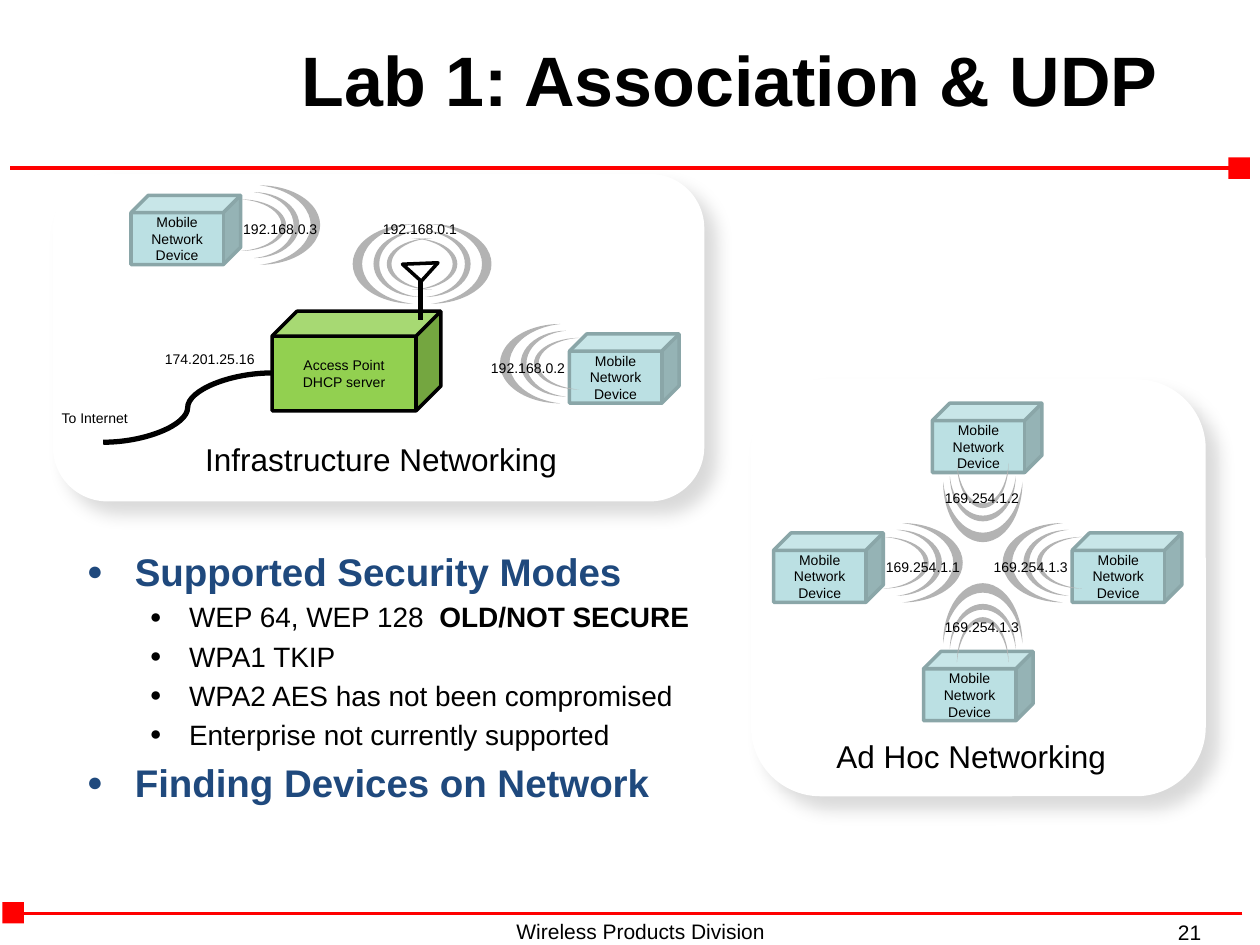
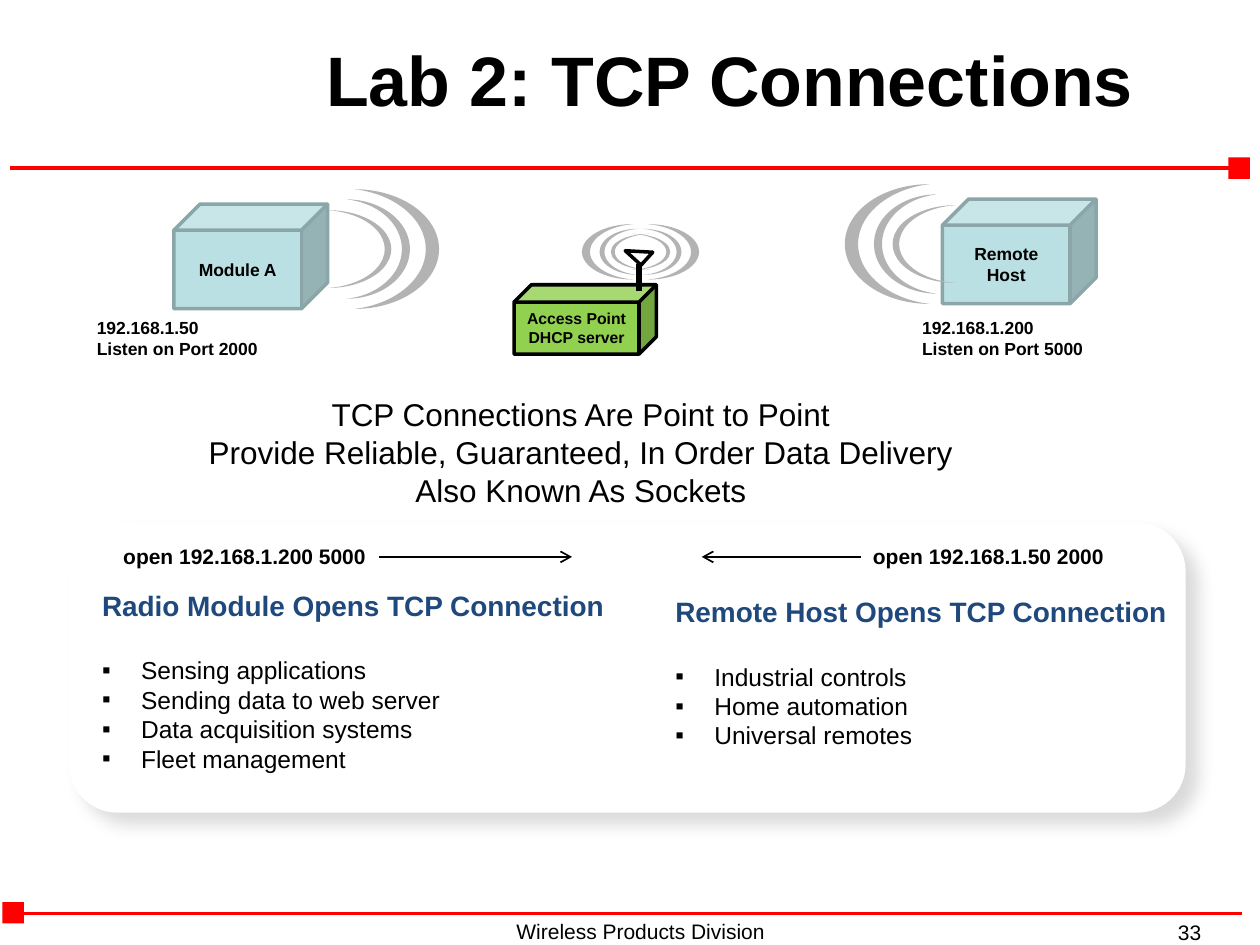
import math

import pptx
import pptx.dml.color
import pptx.enum.shapes
import pptx.enum.text
import pptx.oxml
import pptx.oxml.ns
import pptx.util

# Shared look: the 10 x 7.5 inch slide is a grid of 100 columns by 75 rows
CELL = pptx.util.Inches(0.1)
COLUMNS, ROWS = 100, 75
COLOURS = {
    "rule": "FF0000", "text": "000000", "heading": "1F497D", "paper": "FFFFFF",
    "device": "BBE0E3", "device edge": "8AA6A8", "access point": "92D050",
    "wave": "B3B3B3",
}
FONT = "Arial"
SHAPE = pptx.enum.shapes.MSO_SHAPE
CONNECTOR = pptx.enum.shapes.MSO_CONNECTOR
CENTER = pptx.enum.text.PP_ALIGN.CENTER
MIDDLE = pptx.enum.text.MSO_ANCHOR.MIDDLE

# Device size, and for each side that sends: wave rotation, then the wave
# centre and label corner as shares of the device's width and height
DEVICE_SIZE = (8.7, 5.5)
SIDES = {
    "right": (180, (1.45, 0.43), (0.91, 0.28)),
    "left": (0, (-0.36, 0.43), (-0.83, 0.28)),
    "bottom": (270, (0.46, 1.57), (0, 1.15)),
    "top": (90, (0.54, -0.55), (0.08, -0.56)),
}
# Each wave is three moons: width share, height share, thickness
MOONS = [(1, 1, 0.157), (0.75, 0.83, 0.127), (0.75, 0.65, 0.103)]
MOON_STEP = 0.22


def colour(name):
    return pptx.dml.color.RGBColor.from_string(COLOURS[name])


def grid(*cells):
    return [round(cell * CELL) for cell in cells]


def add_xml(parent, text):
    declaration = pptx.oxml.ns.nsdecls("a")
    name, rest = text.split(" ", 1)
    parent.append(pptx.oxml.parse_xml(f"{name} {declaration} {rest}"))


def move(shape, place):
    for name, value in zip(("left", "top", "width", "height"), grid(*place)):
        setattr(shape, name, value)


# Text
def write(frame, lines, size=8, bold=False, align=None):
    """Write lines, each a string or a dict of text and paragraph settings."""
    for index, line in enumerate(lines):
        line = line if isinstance(line, dict) else {"text": line}
        paragraph = frame.paragraphs[0] if index == 0 else frame.add_paragraph()
        if "bullet" in line:
            set_bullet(paragraph, **line["bullet"])
        settings = {"alignment": align, "level": line.get("level", 0),
                    "space_before": pptx.util.Pt(line.get("before", 0) if index else 0)}
        for name, value in settings.items():
            setattr(paragraph, name, value)
        pieces = [(line["text"], line.get("bold", bold))]
        if "strong" in line:
            pieces.append((line["strong"], True))
        for text, is_bold in pieces:
            run = paragraph.add_run()
            run.text = text
            font_values = {"name": FONT, "bold": is_bold,
                           "size": pptx.util.Pt(line.get("size", size))}
            for name, value in font_values.items():
                setattr(run.font, name, value)
            run.font.color.rgb = colour(line.get("colour", "text"))


def set_bullet(paragraph, character=None, indent=0, hanging=0, share=100):
    properties = paragraph._p.get_or_add_pPr()
    properties.set("marL", str(pptx.util.Inches(indent)))
    properties.set("indent", str(-pptx.util.Inches(hanging)))
    if character:
        add_xml(properties, f'<a:buSzPct val="{share * 1000}"/>')
        add_xml(properties, f'<a:buFont typeface="{FONT}"/>')
        add_xml(properties, f'<a:buChar char="{character}"/>')
    else:
        add_xml(properties, "<a:buNone />")


def add_text(slide, place, lines, wrap=False, **style):
    frame = slide.shapes.add_textbox(*grid(*place)).text_frame
    frame.word_wrap = wrap
    write(frame, lines, **style)


def fill_list(placeholder, place, lines):
    move(placeholder, place)
    frame = placeholder.text_frame
    frame.auto_size = pptx.enum.text.MSO_AUTO_SIZE.NONE
    write(frame, lines)


# Shapes and lines
def add_shape(slide, kind, place, fill, edge=None, rotation=0):
    shape = slide.shapes.add_shape(kind, *grid(*place))
    shape.shadow.inherit = False
    shape.rotation = rotation
    shape.fill.solid()
    shape.fill.fore_color.rgb = colour(fill)
    if edge:
        shape.line.color.rgb = colour(edge)
        shape.line.width = pptx.util.Pt(2)
    else:
        shape.line.fill.background()
    return shape


def add_centred(slide, kind, centre, size, fill, **look):
    (x, y), (width, height) = centre, size
    place = (x - width / 2, y - height / 2, width, height)
    return add_shape(slide, kind, place, fill, **look)


def add_line(slide, start, end, width, ink="text", kind=CONNECTOR.STRAIGHT, arrow=False):
    connector = slide.shapes.add_connector(kind, *grid(*start, *end))
    connector.line.color.rgb = colour(ink)
    connector.line.width = pptx.util.Pt(width)
    if arrow:
        add_xml(connector.line._get_or_add_ln(), '<a:tailEnd type="arrow"/>')
    add_xml(connector._element.spPr, "<a:effectLst />")


def add_card(slide, place):
    """Add a white card with a soft shadow, behind the placeholders."""
    card = add_shape(slide, SHAPE.ROUNDED_RECTANGLE, place, "paper")
    effects = card._element.spPr.find(pptx.oxml.ns.qn("a:effectLst"))
    distance = pptx.util.Pt(10)
    add_xml(effects, f'<a:outerShdw blurRad="{distance}" dist="{distance}" '
                     'dir="2700000" algn="tl" rotWithShape="0"><a:srgbClr '
                     f'val="{COLOURS["text"]}"><a:alpha val="15000"/>'
                     '</a:srgbClr></a:outerShdw>')
    slide.shapes._spTree.insert(2, card._element)


# Network parts
def add_box(slide, place, lines, fill, edge, **style):
    box = add_shape(slide, SHAPE.CUBE, place, fill, edge)
    box.text_frame.word_wrap = True
    box.text_frame.vertical_anchor = MIDDLE
    write(box.text_frame, lines, align=CENTER, **style)


def add_wave(slide, centre, size, rotation):
    angle = math.radians(rotation)
    for index, (width, height, thickness) in enumerate(MOONS):
        shift = index * MOON_STEP * size[0]
        moon_centre = (centre[0] + shift * math.cos(angle),
                       centre[1] + shift * math.sin(angle))
        moon = add_centred(slide, SHAPE.MOON, moon_centre,
                           (size[0] * width, size[1] * height),
                           "wave", rotation=rotation)
        moon.adjustments[0] = thickness


def add_device(slide, corner, side, name="Mobile Network Device",
               box_size=DEVICE_SIZE, address=None, **style):
    def at(share):
        return [start + part * length
                for start, part, length in zip(corner, share, box_size)]

    rotation, wave_centre, label_corner = SIDES[side]
    width, height = box_size
    add_box(slide, (*corner, width, height), [name], "device", "device edge", **style)
    add_wave(slide, at(wave_centre), (0.55 * width, 1.145 * height), rotation)
    if address:
        add_text(slide, (*at(label_corner), 8, 2.4), [address])


def add_access_point(slide, place, **style):
    left, top, width, height = place
    add_box(slide, place, ["Access Point", "DHCP server"],
            "access point", "text", **style)
    for share, rotation in ((1.12, 180), (0.656, 0)):
        add_wave(slide, (left + share * width, top - 0.475 * height),
                 (0.358 * width, 0.8 * height), rotation)
    mast = left + 0.877 * width
    add_centred(slide, SHAPE.RIGHT_TRIANGLE, (mast, top - 0.48 * height),
                (0.25 * height, 0.15 * width), "paper", edge="text", rotation=312.2)
    add_line(slide, (mast, top - 0.3 * height), (mast, top + 0.09 * height), 3)


# Frame common to the slides
def add_slide(presentation, layout, title, number, cards):
    slide = presentation.slides.add_slide(presentation.slide_layouts[layout])
    for card in cards:
        add_card(slide, card)
    add_line(slide, (0.8, 13.3), (97.5, 13.3), 2.25, "rule")
    add_shape(slide, SHAPE.RECTANGLE, (97.5, 12.5, 1.7, 1.7), "rule")
    add_line(slide, (98.6, 72.5), (1.9, 72.5), 2.25, "rule")
    add_shape(slide, SHAPE.RECTANGLE, (0.2, 71.6, 1.7, 1.7), "rule")
    add_text(slide, (92.5, 72.5, 7.5, 2.5), [number], wrap=True, size=12)
    add_text(slide, (40, 72.4, 34.2, 2.6), ["Wireless Products Division"],
             wrap=True, size=12)
    heading = slide.shapes.title
    move(heading, (20.8, 2.2, 74.2, 9.5))
    heading.text_frame.vertical_anchor = MIDDLE
    write(heading.text_frame, [title], size=40, bold=True, align=CENTER)
    heading.text_frame.paragraphs[0].line_spacing = 0.75
    return slide


def build_association(presentation):
    slide = add_slide(presentation, 1, "Lab 1: Association & UDP", "21",
                      [(4.2, 13.8, 51.7, 26), (59.6, 30.1, 36.1, 33.1)])

    # Security list
    topic = {"size": 22, "bold": True, "colour": "heading", "before": 4.4,
             "bullet": {"character": "●", "indent": 0.38, "hanging": 0.38, "share": 70}}
    detail = {"size": 16, "level": 1, "before": 3.2,
              "bullet": {"character": "●", "indent": 0.81, "hanging": 0.31, "share": 70}}
    fill_list(slide.placeholders[1], (5.9, 43, 59.1, 24.4), [
        {**topic, "text": "Supported Security Modes"},
        {**detail, "text": "WEP 64, WEP 128 ", "strong": " OLD/NOT SECURE"},
        {**detail, "text": "WPA1 TKIP"},
        {**detail, "text": "WPA2 AES has not been compromised"},
        {**detail, "text": "Enterprise not currently supported"},
        {**topic, "text": "Finding Devices on Network"},
    ])

    # Infrastructure network
    add_device(slide, (10.4, 15.5), "right", address="192.168.0.3")
    add_access_point(slide, (21.6, 24.7, 13.4, 7.9))
    add_device(slide, (45.2, 26.5), "left", address="192.168.0.2")
    add_line(slide, (21.6, 29.6), (8.2, 35.1), 3, kind=CONNECTOR.CURVE)
    for place, text in (((29.4, 17, 8, 2.4), "192.168.0.1"),
                        ((12.1, 27.3, 9.3, 2.4), "174.201.25.16"),
                        ((3.9, 32, 7.5, 2.4), "To Internet")):
        add_text(slide, place, [text])
    add_text(slide, (15.3, 34.4, 30.2, 4), ["Infrastructure Networking"], size=18)

    # Ad hoc network
    for corner, side, address in (((74, 32), "bottom", "169.254.1.2"),
                                  ((73.3, 51.7), "top", "169.254.1.3"),
                                  ((61.4, 42.3), "right", "169.254.1.1"),
                                  ((85.1, 42.3), "left", "169.254.1.3")):
        add_device(slide, corner, side, address=address)
    add_text(slide, (65.4, 58, 23.8, 4), ["Ad Hoc Networking"], size=18)


def build_connections(presentation):
    slide = add_slide(presentation, 3, "Lab 2: TCP Connections", "33",
                      [(5.5, 41.5, 88.6, 23)])

    # Hosts and access point
    hosts = (((13.8, 16.2), "right", "Module A", 6.7, "192.168.1.50", "2000"),
             ((74.8, 15.8), "left", "Remote Host", 72.2, "192.168.1.200", "5000"))
    for corner, side, name, label_left, address, port in hosts:
        add_device(slide, corner, side, name, (12.2, 8.3), size=10, bold=True)
        add_text(slide, (label_left, 24.7, 15, 4.4),
                 [address, f"Listen on Port {port}"], size=10, bold=True)
    add_access_point(slide, (40.8, 22.6, 11.3, 5.5), size=9, bold=True)
    add_text(slide, (13.8, 30.85, 64.6, 10.1), [
        "TCP Connections Are Point to Point",
        "Provide Reliable, Guaranteed, In Order Data Delivery",
        "Also Known As Sockets",
    ], wrap=True, size=18, align=CENTER)

    # Who opens the connection
    columns = (
        ((7.1, 46.2, 42.9, 15.8), "Radio Module Opens TCP Connection",
         ["Sensing applications", "Sending data to web server",
          "Data acquisition systems", "Fleet management"]),
        ((52.6, 46.7, 42.6, 15.8), "Remote Host Opens TCP Connection",
         ["Industrial controls", "Home automation", "Universal remotes"]),
    )
    square = {"character": "▪", "indent": 0.31, "hanging": 0.31}
    for index, (place, heading, uses) in enumerate(columns, start=1):
        lines = [{"text": heading, "size": 16, "bold": True,
                  "colour": "heading", "bullet": {}}]
        lines += [{"text": use, "size": 14, "bullet": square,
                   "before": 0 if position else 19}
                  for position, use in enumerate(uses)]
        fill_list(slide.placeholders[index], place, lines)

    # Commands
    for left, command in ((8.8, "open 192.168.1.200 5000"),
                          (68.3, "open 192.168.1.50 2000")):
        add_text(slide, (left, 42.65, 21.3, 3), [command], wrap=True, size=12, bold=True)
    for start, end in ((30.1, 45.4), (68.3, 55.7)):
        add_line(slide, (start, 44.2), (end, 44.2), 1, arrow=True)


def main():
    presentation = pptx.Presentation()
    presentation.slide_width, presentation.slide_height = grid(COLUMNS, ROWS)
    build_association(presentation)
    build_connections(presentation)
    presentation.save("out.pptx")


if __name__ == "__main__":
    main()
